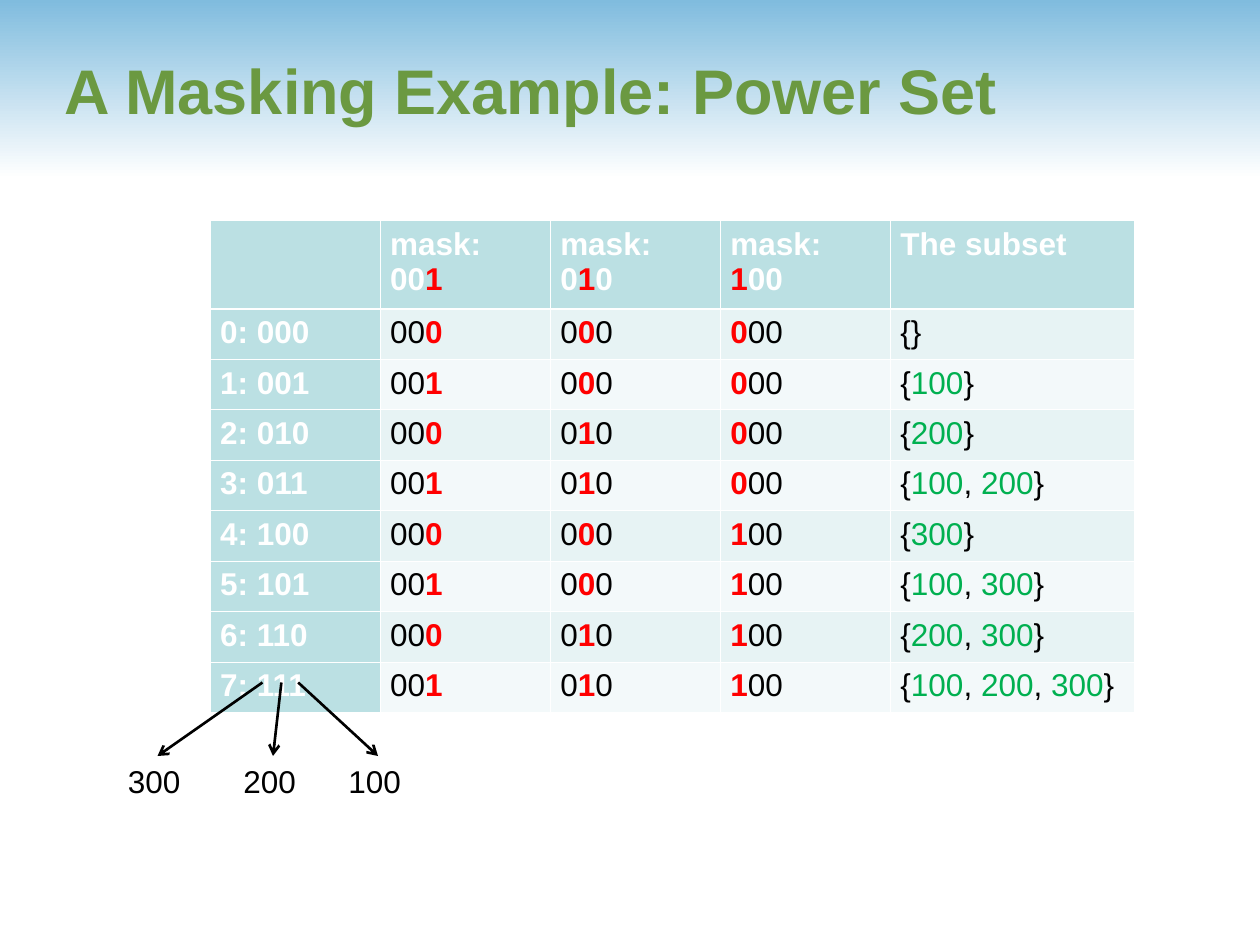
from dataclasses import dataclass
from lxml.etree import SubElement
from pptx import Presentation
from pptx.dml.color import RGBColor
from pptx.enum.shapes import MSO_CONNECTOR, MSO_SHAPE
from pptx.enum.text import MSO_ANCHOR
from pptx.oxml.ns import qn
from pptx.util import Inches, Pt


@dataclass(frozen=True)
class Theme:
    font: str = "Arial"
    title_size: int = 36
    body_size: int = 18
    title: str = "6B9941"
    sky: str = "80BCDE"
    white: str = "FFFFFF"
    black: str = "000000"
    header: str = "BBE0E3"
    bands: tuple = ("E7F3F4", "F3F9FA")
    bit: str = "FF0000"
    item: str = "00B050"
    thin: float = 0.45
    thick: float = 1.5


class SlideBuilder:
    COLUMNS, ROWS = 120, 90

    def __init__(self, deck, theme):
        self.theme = theme
        self.deck = deck
        self.page = deck.slides.add_slide(deck.slide_layouts[6])

    def place(self, column, row):
        return (round(self.deck.slide_width * column / self.COLUMNS),
                round(self.deck.slide_height * row / self.ROWS))

    def area(self, column, row, width, height):
        return self.place(column, row) + self.place(width, height)

    def add_spans(self, frame, spans, size):
        para = frame.paragraphs[0]
        para.font.name = self.theme.font
        para.font.size = Pt(size)
        for text, color, bold in spans:
            span = para.add_run()
            span.text = text
            span.font.bold = bold
            span.font.color.rgb = RGBColor.from_string(color)

    def gradient_band(self, area, top, bottom):
        band = self.page.shapes.add_shape(MSO_SHAPE.RECTANGLE, *self.area(*area))
        band.shadow.inherit = False
        band.line.fill.background()
        band.fill.gradient()
        band.fill.gradient_angle = 270
        for stop, color, position in zip(band.fill.gradient_stops, (top, bottom), (0, 1)):
            stop.color.rgb = RGBColor.from_string(color)
            stop.position = position

    def text(self, area, text, size, color, bold=False, anchor=MSO_ANCHOR.TOP):
        box = self.page.shapes.add_textbox(*self.area(*area))
        box.text_frame.word_wrap = True
        box.text_frame.vertical_anchor = anchor
        self.add_spans(box.text_frame, [(text, color, bold)], size)

    def arrow(self, start, end):
        line = self.page.shapes.add_connector(
            MSO_CONNECTOR.STRAIGHT, *self.place(*start), *self.place(*end))
        line.line.color.rgb = RGBColor.from_string(self.theme.black)
        line.line.width = Pt(self.theme.thick)
        SubElement(line.line._get_or_add_ln(), qn("a:tailEnd"), type="arrow")
        SubElement(line._element.spPr, qn("a:effectLst"))

    def border(self, cell, edge, width):
        line = SubElement(cell._tc.get_or_add_tcPr(), qn(f"a:ln{edge}"), w=str(Pt(width)))
        fill = SubElement(line, qn("a:solidFill"))
        SubElement(fill, qn("a:srgbClr"), val=self.theme.white)

    def table(self, corner, widths, heights, rows):
        theme = self.theme
        area = self.area(*corner, sum(widths), sum(heights))
        table = self.page.shapes.add_table(len(heights), len(widths), *area).table
        table.first_row = table.horz_banding = False
        for column, width in zip(table.columns, widths):
            column.width = self.place(width, 0)[0]
        for row, height in zip(table.rows, heights):
            row.height = self.place(0, height)[1]
        for y, row in enumerate(rows):
            for x, spans in enumerate(row):
                cell = table.cell(y, x)
                cell.margin_left = cell.margin_right = Inches(0.08)
                edges = {"L": theme.thin, "R": theme.thin,
                         "T": theme.thick if y == 1 else theme.thin,
                         "B": theme.thick if y == 0 else theme.thin}
                for edge, width in edges.items():
                    self.border(cell, edge, width)
                heading = x == 0 or y == 0
                cell.fill.solid()
                cell.fill.fore_color.rgb = RGBColor.from_string(
                    theme.header if heading else theme.bands[(y - 1) % 2])
                self.add_spans(cell.text_frame, spans, theme.body_size)


def masked(theme, value, bit, color, bold=False, prefix=""):
    digits = f"{value & 1 << bit:03b}"
    spot = len(digits) - 1 - bit
    spans = [(prefix + digits[:spot], color, bold), (digits[spot], theme.bit, True),
             (digits[spot + 1:], color, bold)]
    return [span for span in spans if span[0]]


def subset(theme, value, items):
    chosen = [item for bit, item in enumerate(items) if value >> bit & 1]
    spans = [("{", theme.black, False)]
    for index, item in enumerate(chosen):
        if index:
            spans.append((", ", theme.black, False))
        spans.append((item, theme.item, False))
    return spans + [("}", theme.black, False)]


def main():
    theme = Theme()
    deck = Presentation()
    deck.slide_width, deck.slide_height = Inches(10), Inches(7.5)
    slide = SlideBuilder(deck, theme)
    items = ("100", "200", "300")
    bits = range(len(items))

    slide.gradient_band((0, 0, 120, 17), theme.sky, theme.white)
    slide.text((5, 1, 113, 15), "A Masking Example: Power Set", theme.title_size,
               theme.title, True, MSO_ANCHOR.MIDDLE)

    header = [[]]
    header += [masked(theme, 1 << bit, bit, theme.white, True, "mask: ") for bit in bits]
    header.append([("The subset", theme.white, True)])
    rows = [header]
    for value in range(2 ** len(items)):
        rows.append([[(f"{value}: {value:03b}", theme.white, True)],
                     *[masked(theme, value, bit, theme.black) for bit in bits],
                     subset(theme, value, items)])
    slide.table((20, 21), [16.2] * 4 + [23.2], [7.2] + [4.78] * 8, rows)

    pointers = ((25, 15, 11), (26.8, 26, 22), (28.4, 36, 32))
    for item, (start, end, left) in zip(reversed(items), pointers):
        slide.arrow((start, 65), (end, 72))
        slide.text((left, 72, 8, 4.8), item, theme.body_size, theme.black)

    deck.save("out.pptx")


if __name__ == "__main__":
    main()
